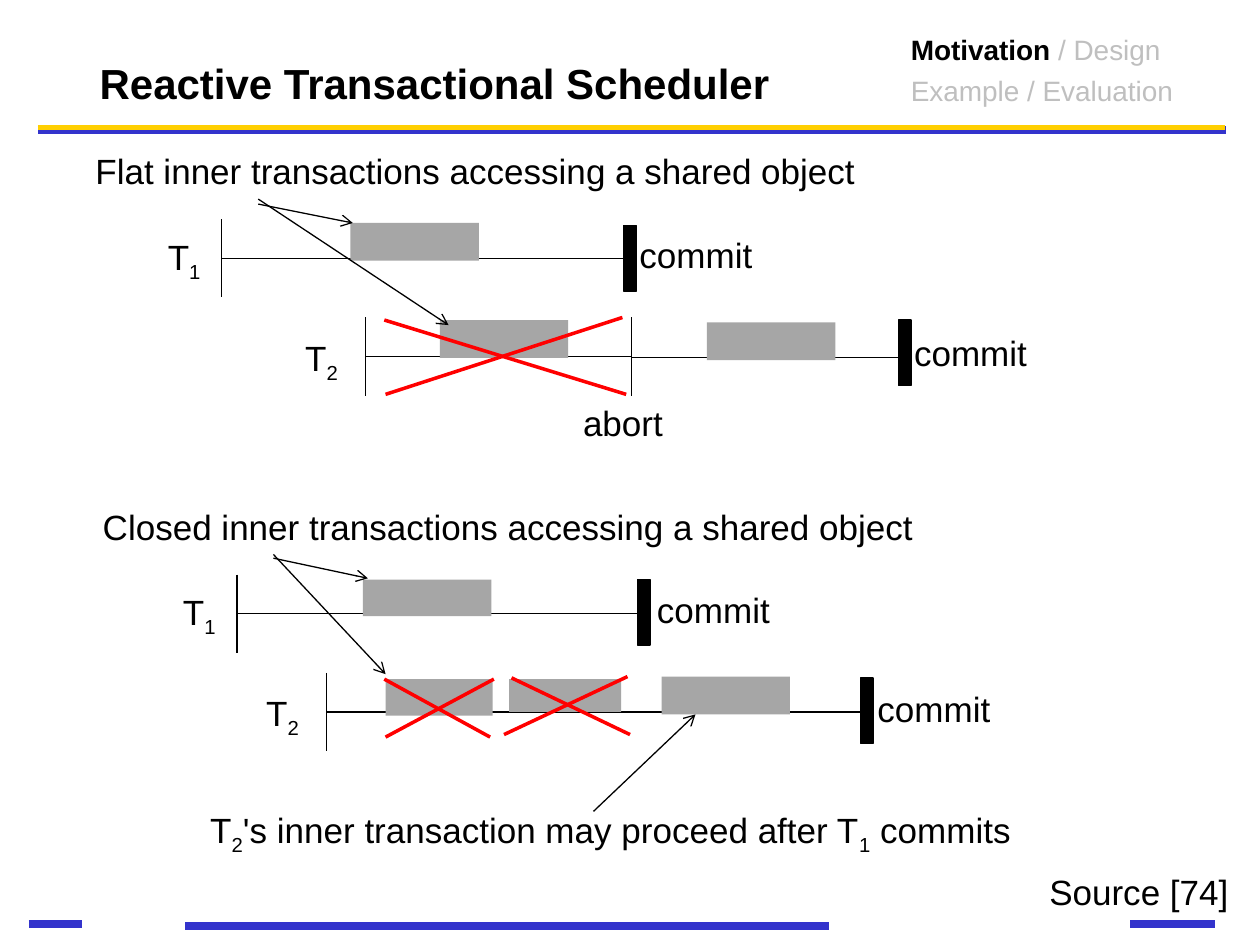
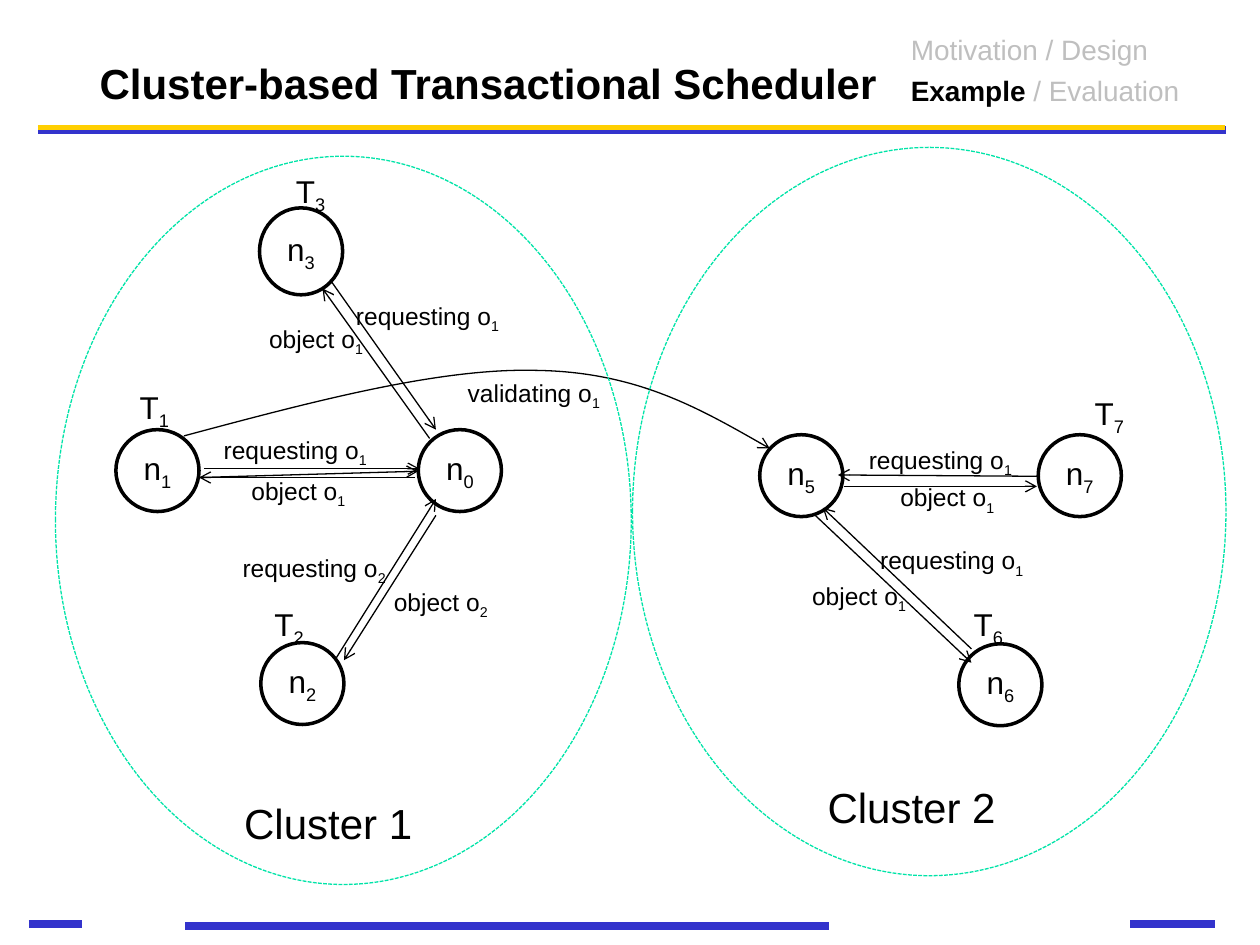
"""Build two slides on transactional schedulers: a timeline comparison and a cluster diagram."""
from collections import namedtuple
from itertools import chain
from lxml.etree import SubElement
from pptx import Presentation
from pptx.dml.color import RGBColor
from pptx.enum.dml import MSO_LINE_DASH_STYLE as Dash
from pptx.enum.shapes import MSO_CONNECTOR as Connector, MSO_SHAPE as Preset
from pptx.enum.text import MSO_ANCHOR as Anchor, MSO_AUTO_SIZE as AutoSize, PP_ALIGN as Align
from pptx.oxml.ns import qn
from pptx.util import Inches, Pt

Theme = namedtuple("Theme", "font ink paper faded block cross cluster blue yellow "
                            "title body node tracker caption thin bold_line")
THEME = Theme("Arial", "000000", "FFFFFF", "BFBFBF", "A6A6A6", "FF0000", "00E4A8",
              "3333CC", "FFCF01", 24, 20, 18, 16, 14, 0.75, 2)

COLUMNS, ROWS = 10, 7.5
CELL = Inches(1)

BANDS = [
    ((0.3, 1.03), (9.73, 1.03), THEME.blue, 4.5),
    ((1.47, 7.35), (6.58, 7.35), THEME.blue, 4.5),
    ((8.97, 7.33), (9.64, 7.33), THEME.blue, 4.5),
    ((0.3, 1.01), (9.72, 1.01), THEME.yellow, 3),
    ((0.23, 7.33), (0.65, 7.33), THEME.blue, 4.5),
]
TITLE_BOX = (0.69, 0.24, 8.42, 0.67)
TRACKER_BOX = (7.13, 0.21, 2.45, 0.69)

SCHEDULER = ("Reactive Transactional Scheduler", ["*Motivation* / Design", "Example / Evaluation"])
CLUSTERING = ("Cluster-based Transactional Scheduler", ["Motivation / Design", "*Example* / Evaluation"])

Lane = namedtuple("Lane", "name name_at ticks axes blocks bar commit_at")
LANES = [
    Lane("T_1", (1.21, 1.82), [1.76], [(1.76, 4.98, 2.05)],
         [(2.78, 1.77, 1.02, 0.3)], (4.95, 1.79), (4.97, 1.8)),
    Lane("T_2", (2.3, 2.62), [2.9, 5.01], [(2.9, 5.02, 2.83), (5.01, 7.13, 2.84)],
         [(3.49, 2.54, 1.02, 0.3), (5.61, 2.56, 1.02, 0.3)], (7.13, 2.54), (7.15, 2.58)),
    Lane("T_1", (1.33, 4.64), [1.88], [(1.88, 5.11, 4.87)],
         [(2.88, 4.6, 1.02, 0.29)], (5.06, 4.6), (5.11, 4.62)),
    Lane("T_2", (1.99, 5.44), [2.59], [(2.59, 4.71, 5.65), (4.71, 6.83, 5.65)],
         [(3.06, 5.39, 0.85, 0.29), (4.04, 5.39, 0.89, 0.26), (5.25, 5.37, 1.02, 0.3)],
         (6.83, 5.38), (6.86, 5.41)),
]
TICK_REACH = 0.31
BAR_SIZE = (0.1, 0.52)
NAME_WIDTH, COMMIT_WIDTH = 0.48, 1.1
CROSSES = [
    ((3.05, 2.54), (4.97, 3.13)), ((3.06, 3.13), (4.94, 2.52)),
    ((3.05, 5.39), (3.89, 5.85)), ((3.06, 5.85), (3.92, 5.39)),
    ((4.06, 5.38), (5, 5.83)), ((4, 5.83), (4.98, 5.37)),
]
POINTERS = [
    ((2.05, 1.62), (2.8, 1.77)), ((2.05, 1.58), (3.56, 2.58)),
    ((2.17, 4.43), (2.92, 4.59)), ((2.17, 4.4), (3.06, 5.35)),
    ((4.71, 6.44), (5.52, 5.67)),
]
REMARKS = [
    ("Flat inner transactions accessing a shared object", 0.61, 1.14, 6.28, Align.RIGHT),
    ("abort", 4.52, 3.14, 0.84, Align.RIGHT),
    ("Closed inner transactions accessing a shared object", 0.67, 3.96, 6.68, Align.RIGHT),
    ("T_2_'s inner transaction may proceed after T_1_ commits", 1.57, 6.37, 7.79, Align.LEFT),
    ("Source [74]", 8.22, 6.86, 1.63, Align.RIGHT),
]

CLUSTERS = [
    ("Cluster 1", (1.82, 6.28), (0.44, 1.24, 4.57, 5.78)),
    ("Cluster 2", (6.45, 6.15), (5.02, 1.17, 4.71, 5.78)),
]
CLUSTER_NAME_WIDTH = 1.55
NODE_WIDTH = 0.66
NODES = [
    ("n_3", 2.06, 1.65, 0.69), ("n_2", 2.07, 5.1, 0.65), ("n_1", 0.92, 3.41, 0.65),
    ("n_0", 3.32, 3.41, 0.65), ("n_7", 8.24, 3.45, 0.65), ("n_5", 6.03, 3.45, 0.65),
    ("n_6", 7.61, 5.11, 0.65),
]
TRANSACTION_WIDTH = 0.45
TRANSACTIONS = [
    ("T_1", 0.99, 3.03), ("T_2", 2.06, 4.75), ("T_3", 2.23, 1.32),
    ("T_6", 7.61, 4.75), ("T_7", 8.57, 3.08),
]
REQUESTS = [
    ((1.62, 3.72), (3.33, 3.72)), ((2.62, 2.22), (3.46, 3.41)), ((2.67, 5.22), (3.46, 3.96)),
    ((8.23, 3.78), (6.65, 3.77)), ((7.71, 5.15), (6.53, 4.03)), ((1.58, 3.79), (3.32, 3.74)),
]
REPLIES = [
    ((3.41, 3.48), (2.56, 2.29)), ((3.29, 3.79), (1.58, 3.79)), ((3.46, 4.09), (2.73, 5.24)),
    ((6.7, 3.86), (8.23, 3.86)), ((6.47, 4.09), (7.71, 5.26)),
]
CAPTIONS = {
    ("requesting o", 1.35): [(1, 1.66, 3.4), (1, 2.71, 2.34), (2, 1.81, 4.34),
                             (1, 6.78, 3.48), (1, 6.87, 4.28)],
    ("object o", 0.98): [(1, 2, 2.52), (1, 1.86, 3.73), (2, 2.99, 4.61),
                         (1, 6.31, 4.56), (1, 7.01, 3.78)],
    ("validating o", 1.27): [(1, 3.59, 2.95)],
}
VALIDATION_START = (1.46, 3.46)
VALIDATION_CURVE = [(2.47, 3.19), (3.48, 2.92), (4.25, 2.94),
                    (5.03, 2.95), (5.57, 3.25), (6.11, 3.56)]


def scaled(*cells):
    return [int(cell * CELL) for cell in cells]


def style_run(run, size, color=THEME.ink, bold=False):
    font = run.font
    font.name, font.size, font.bold = THEME.font, Pt(size), bold
    font.color.rgb = RGBColor.from_string(color)


def write_subscripted(paragraph, text, size, align):
    paragraph.alignment = align
    for index, part in enumerate(text.split("_")):
        if part:
            run = paragraph.add_run()
            run.text = part
            style_run(run, size)
            if index % 2:
                run.font._element.set("baseline", "-25000")


def add_label(slide, text, left, top, width, size, align=Align.RIGHT):
    height = 0.1 + size * 1.2 / 72
    frame = slide.shapes.add_textbox(*scaled(left, top, width, height)).text_frame
    frame.word_wrap = align == Align.LEFT
    frame.auto_size = AutoSize.SHAPE_TO_FIT_TEXT
    write_subscripted(frame.paragraphs[0], text, size, align)


def style_line(shape, color, width, arrow=False):
    shape.line.color.rgb = RGBColor.from_string(color)
    shape.line.width = Pt(width)
    if arrow:
        SubElement(shape.element.find(".//" + qn("a:ln")), qn("a:tailEnd"), type="arrow")


def add_line(slide, start, end, color=THEME.ink, width=THEME.thin, arrow=False):
    line = slide.shapes.add_connector(Connector.STRAIGHT, *scaled(*start, *end))
    style_line(line, color, width, arrow)
    SubElement(line.element.spPr, qn("a:effectLst"))
    return line


def add_figure(slide, preset, box, fill=None, line=None, width=THEME.thin):
    shape = slide.shapes.add_shape(preset, *scaled(*box))
    shape.shadow.inherit = False
    if fill:
        shape.fill.solid()
        shape.fill.fore_color.rgb = RGBColor.from_string(fill)
    else:
        shape.fill.background()
    if line:
        style_line(shape, line, width)
    else:
        shape.line.fill.background()
    return shape


def add_curved_arrow(slide, start, points):
    builder = slide.shapes.build_freeform(*scaled(*start))
    builder.add_line_segments([scaled(*point) for point in points], close=False)
    shape = builder.convert_to_shape()
    shape.shadow.inherit = False
    shape.fill.background()
    style_line(shape, THEME.ink, THEME.thin, arrow=True)
    outline = shape.element.find(".//" + qn("a:path"))
    segments = outline.findall(qn("a:lnTo"))
    for first in range(0, len(segments), 3):
        curve = SubElement(outline, qn("a:cubicBezTo"))
        for segment in segments[first:first + 3]:
            curve.append(segment[0])
            outline.remove(segment)


def add_tracker(slide, lines):
    frame = slide.shapes.add_textbox(*scaled(*TRACKER_BOX)).text_frame
    frame.word_wrap = True
    frame.auto_size = AutoSize.SHAPE_TO_FIT_TEXT
    for number, line in enumerate(lines):
        paragraph = frame.add_paragraph() if number else frame.paragraphs[0]
        paragraph.space_before = Pt(4 if number else 0)
        for index, part in enumerate(line.split("*")):
            if part:
                run = paragraph.add_run()
                run.text = part
                current = index % 2 == 1
                style_run(run, THEME.tracker, THEME.ink if current else THEME.faded, current)


def start_slide(presentation, layout, heading):
    title_text, tracker = heading
    slide = presentation.slides.add_slide(layout)
    title = slide.shapes.title
    title.left, title.top, title.width, title.height = scaled(*TITLE_BOX)
    frame = title.text_frame
    frame.text = title_text
    frame.vertical_anchor, frame.auto_size = Anchor.BOTTOM, AutoSize.NONE
    frame.paragraphs[0].alignment = Align.LEFT
    style_run(frame.paragraphs[0].runs[0], THEME.title, bold=True)
    add_tracker(slide, tracker)
    return slide


def move_bands_to_layout(slide, layout):
    for band in BANDS:
        layout.shapes.element.append(add_line(slide, *band).element)


def add_lane(slide, lane):
    axis = lane.axes[0][2]
    for tick in lane.ticks:
        add_line(slide, (tick, axis - TICK_REACH), (tick, axis + TICK_REACH))
    for start, end, height in lane.axes:
        add_line(slide, (start, height), (end, height))
    for block in lane.blocks:
        add_figure(slide, Preset.RECTANGLE, block, THEME.block)
    add_figure(slide, Preset.RECTANGLE, lane.bar + BAR_SIZE, THEME.ink, THEME.ink)
    add_label(slide, lane.name, *lane.name_at, NAME_WIDTH, THEME.body)
    add_label(slide, "commit", *lane.commit_at, COMMIT_WIDTH, THEME.body)


def add_node(slide, name, left, top, height):
    node = add_figure(slide, Preset.OVAL, (left, top, NODE_WIDTH, height),
                      THEME.paper, THEME.ink, THEME.bold_line)
    frame = node.text_frame
    frame.word_wrap, frame.vertical_anchor = False, Anchor.MIDDLE
    write_subscripted(frame.paragraphs[0], name, THEME.node, Align.CENTER)


def fill_timelines(slide):
    for lane in LANES:
        add_lane(slide, lane)
    for start, end in CROSSES:
        add_line(slide, start, end, THEME.cross, THEME.bold_line)
    for start, end in POINTERS:
        add_line(slide, start, end, arrow=True)
    for text, left, top, width, align in REMARKS:
        add_label(slide, text, left, top, width, THEME.body, align)


def fill_clusters(slide):
    for name, left, top in TRANSACTIONS:
        add_label(slide, name, left, top, TRANSACTION_WIDTH, THEME.node)
    for node in NODES:
        add_node(slide, *node)
    for start, end in chain(REQUESTS, REPLIES):
        add_line(slide, start, end, arrow=True)
    add_curved_arrow(slide, VALIDATION_START, VALIDATION_CURVE)
    for (action, width), places in CAPTIONS.items():
        for number, left, top in places:
            add_label(slide, f"{action}_{number}", left, top, width, THEME.caption)
    for name, name_at, box in CLUSTERS:
        ring = add_figure(slide, Preset.OVAL, box, line=THEME.cluster)
        ring.line.dash_style = Dash.SQUARE_DOT
        ring.element.find(".//" + qn("a:prstDash")).set("val", "sysDash")
        add_label(slide, name, *name_at, CLUSTER_NAME_WIDTH, THEME.title)


def main():
    presentation = Presentation()
    presentation.slide_width, presentation.slide_height = scaled(COLUMNS, ROWS)
    layout = presentation.slide_layouts.get_by_name("Title Only")
    timelines = start_slide(presentation, layout, SCHEDULER)
    move_bands_to_layout(timelines, layout)
    fill_timelines(timelines)
    fill_clusters(start_slide(presentation, layout, CLUSTERING))
    presentation.save("out.pptx")


main()
